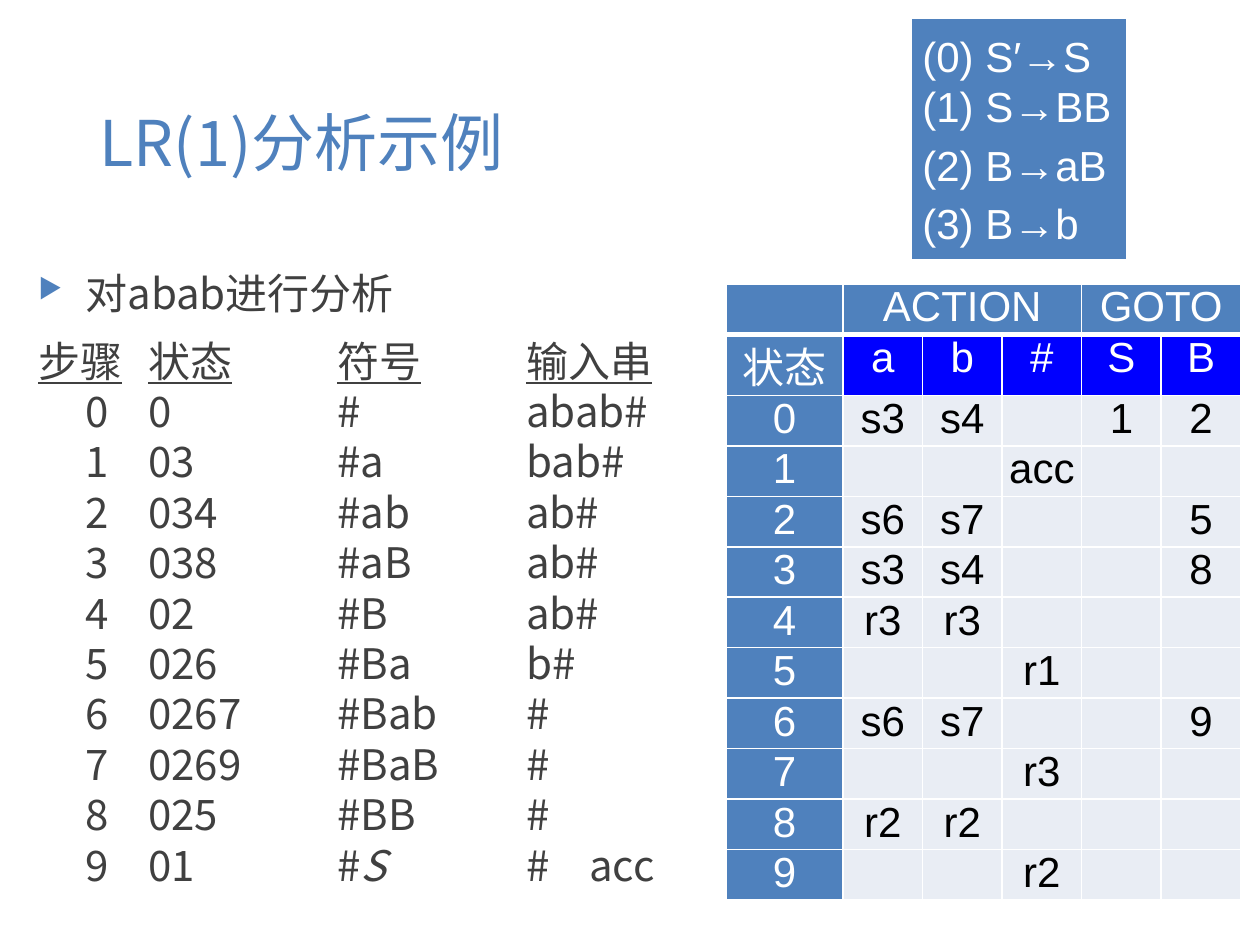
"""Build a slide that traces an LR(1) parse beside its grammar and parsing table."""
from dataclasses import dataclass
from typing import NamedTuple

from lxml import etree
from pptx import Presentation
from pptx.dml.color import RGBColor
from pptx.enum.shapes import MSO_SHAPE
from pptx.enum.text import MSO_ANCHOR, MSO_AUTO_SIZE, PP_ALIGN
from pptx.oxml.ns import qn
from pptx.util import Emu, Pt

RECTANGLE = MSO_SHAPE.RECTANGLE
TOP, MIDDLE = MSO_ANCHOR.TOP, MSO_ANCHOR.MIDDLE
LEFT, CENTER = PP_ALIGN.LEFT, PP_ALIGN.CENTER
NO_FIT = MSO_AUTO_SIZE.NONE
EMU_PER_PX = 914400 / 126


@dataclass(frozen=True)
class Theme:
    accent: str = "4F81BD"
    symbol: str = "0000FF"
    body_fill: str = "E9EDF4"
    white: str = "FFFFFF"
    black: str = "000000"
    text: str = "404040"
    sans: str = "Arial"
    cjk: str = "Noto Sans CJK SC"
    title_size: int = 36
    size: int = 24
    empty_size: int = 12


class Box(NamedTuple):
    x: int
    y: int
    w: int
    h: int


class Step(NamedTuple):
    number: int
    states: str
    symbols: str
    rest: str


class TableRow(NamedTuple):
    state: str
    entries: tuple[str, ...]


THEME = Theme()
TITLE_BOX = Box(87, 50, 1087, 183)
TRACE_BOX = Box(26, 261, 1087, 600)
GRAMMAR_BOX = Box(910, 17, 218, 244)
TABLE_BOX = Box(726, 284, 515, 578)
STATE_WIDTH, ENTRIES_WIDTH = 117, 398
ROW_HEIGHT, SYMBOL_ROW_HEIGHT = 47, 61
INDENT, TAB = 47, 63
CELL_INSET = 1

GRAMMAR = ("(0) S′→S", "(1) S→BB", "(2) B→aB", "(3) B→b")
STEPS = [Step(i, *values) for i, values in enumerate((
    ("0", "#", "abab#"),
    ("03", "#a", "bab#"),
    ("034", "#ab", "ab#"),
    ("038", "#aB", "ab#"),
    ("02", "#B", "ab#"),
    ("026", "#Ba", "b#"),
    ("0267", "#Bab", "#"),
    ("0269", "#BaB", "#"),
    ("025", "#BB", "#"),
    ("01", "#S", "#\tacc"),
))]
SYMBOLS = TableRow("状态", ("a", "b", "#", "S", "B"))
STATES = [TableRow(str(i), entries) for i, entries in enumerate((
    ("s3", "s4", "", "1", "2"),
    ("", "", "acc", "", ""),
    ("s6", "s7", "", "", "5"),
    ("s3", "s4", "", "", "8"),
    ("r3", "r3", "", "", ""),
    ("", "", "r1", "", ""),
    ("s6", "s7", "", "", "9"),
    ("", "", "r3", "", ""),
    ("r2", "r2", "", "", ""),
    ("", "", "r2", "", ""),
))]


def px(n: int) -> Emu:
    """Turn pixels into EMU."""
    return Emu(round(n * EMU_PER_PX))


def rgb(color: str) -> RGBColor:
    """Turn a hex string into a colour."""
    return RGBColor.from_string(color)


def place(box: Box) -> tuple[Emu, ...]:
    """Return a box's four lengths in EMU."""
    return tuple(px(n) for n in box)


def add_text(p, text: str, *, font: str = THEME.sans, size: int = THEME.size,
             color: str = THEME.white, align=LEFT, underline: bool = False,
             italic: bool = False) -> None:
    """Append a formatted run to a paragraph."""
    p.alignment = align
    r = p.add_run()
    r.text = text
    r.font.name, r.font.size = font, Pt(size)
    r.font.color.rgb = rgb(color)
    r.font.bold, r.font.italic, r.font.underline = False, italic, underline
    etree.SubElement(r._r.get_or_add_rPr(), qn("a:ea"), typeface=THEME.cjk)


def next_paragraph(tf):
    """Return the empty first paragraph or a new one."""
    first = tf.paragraphs[0]
    return tf.add_paragraph() if first.runs else first


def add_title(s, text: str) -> None:
    """Move, fill and format the title placeholder."""
    title = s.shapes.title
    title.left, title.top, title.width, title.height = place(TITLE_BOX)
    tf = title.text_frame
    tf.auto_size, tf.word_wrap, tf.vertical_anchor = NO_FIT, True, MIDDLE
    add_text(tf.paragraphs[0], text, font=THEME.cjk, size=THEME.title_size, color=THEME.accent)


def add_trace_line(tf, text: str, *, before: int = 0, underline: bool = False):
    """Add a hanging-indent line to the trace and return its paragraph."""
    p = next_paragraph(tf)
    p.space_before = Pt(before)
    pPr = p._p.get_or_add_pPr()
    pPr.set("marL", str(px(INDENT)))
    pPr.set("indent", str(-px(INDENT)))
    pPr.set("defTabSz", str(px(TAB)))
    add_text(p, text, font=THEME.cjk, color=THEME.text, underline=underline)
    return p


def add_bullet(p) -> None:
    """Give a paragraph the accent triangle bullet."""
    pPr = p._p.get_or_add_pPr()
    color = etree.SubElement(pPr, qn("a:buClr"))
    etree.SubElement(color, qn("a:srgbClr"), val=THEME.accent)
    etree.SubElement(pPr, qn("a:buSzPct"), val="65000")
    etree.SubElement(pPr, qn("a:buChar"), char="▶")


def column_gap(text: str) -> str:
    """Return the tabs that lead from a trace entry to the next column."""
    return "\t" * (3 - len(text) // 3)


def add_trace(s) -> None:
    """Draw the step-by-step parse."""
    tf = s.shapes.add_textbox(*place(TRACE_BOX)).text_frame
    tf.word_wrap, tf.vertical_anchor = True, TOP
    add_bullet(add_trace_line(tf, "对abab进行分析", before=10))
    add_trace_line(tf, "步骤\t状态\t\t符号\t\t输入串", before=10, underline=True)
    for step in STEPS:
        stack, start, _ = step.symbols.partition("S")
        p = add_trace_line(tf, f"\t{step.number}\t{step.states}{column_gap(step.states)}{stack}")
        if start:
            add_text(p, start, font=THEME.cjk, color=THEME.text, italic=True)
        add_text(p, column_gap(step.symbols) + step.rest, font=THEME.cjk, color=THEME.text)


def add_grammar(s) -> None:
    """Draw the panel of numbered productions."""
    sp = s.shapes.add_shape(RECTANGLE, *place(GRAMMAR_BOX))
    sp.shadow.inherit = False
    sp.fill.solid()
    sp.fill.fore_color.rgb = rgb(THEME.accent)
    sp.line.color.rgb, sp.line.width = rgb(THEME.white), Pt(2)
    tf = sp.text_frame
    tf.word_wrap, tf.vertical_anchor = True, MIDDLE
    for i, production in enumerate(GRAMMAR):
        p = next_paragraph(tf)
        p.space_before = Pt(4.5 if i > 1 else 0)
        add_text(p, production)


def set_cell(cell, text: str, *, fill: str, color: str = THEME.white,
             top: int = 1, bottom: int = 1) -> None:
    """Fill, border and label one table cell."""
    cell.margin_left = cell.margin_right = px(CELL_INSET)
    cell.margin_top = cell.margin_bottom = 0
    cell.vertical_anchor = TOP
    cell.fill.solid()
    cell.fill.fore_color.rgb = rgb(fill)
    tcPr = cell._tc.get_or_add_tcPr()
    for i, (side, width) in enumerate((("L", 1), ("R", 1), ("T", top), ("B", bottom))):
        ln = etree.Element(qn(f"a:ln{side}"), w=str(Pt(width)))
        solid = etree.SubElement(ln, qn("a:solidFill"))
        etree.SubElement(solid, qn("a:srgbClr"), val=THEME.white)
        tcPr.insert(i, ln)
    p = cell.text_frame.paragraphs[0]
    if text:
        add_text(p, text, color=color, align=CENTER)
    else:
        end = etree.SubElement(p._p, qn("a:endParaRPr"), sz=str(THEME.empty_size * 100))
        etree.SubElement(end, qn("a:latin"), typeface=THEME.sans)


def add_parsing_table(s) -> None:
    """Draw the ACTION and GOTO table."""
    entries = len(SYMBOLS.entries)
    table = s.shapes.add_table(len(STATES) + 2, entries + 1, *place(TABLE_BOX)).table
    table.first_row = table.horz_banding = False
    for i, column in enumerate(table.columns):
        column.width = px(ENTRIES_WIDTH / entries if i else STATE_WIDTH)
    for i, row in enumerate(table.rows):
        row.height = px(SYMBOL_ROW_HEIGHT if i == 1 else ROW_HEIGHT)
    for c, text in enumerate(("", "ACTION", "", "", "GOTO", "")):
        set_cell(table.cell(0, c), text, fill=THEME.accent, bottom=3)
    table.cell(0, 1).merge(table.cell(0, 3))
    table.cell(0, 4).merge(table.cell(0, 5))
    for r, row in enumerate((SYMBOLS, *STATES), start=1):
        heading = r == 1
        top = 3 if heading else 1
        fill, color = (THEME.symbol, THEME.white) if heading else (THEME.body_fill, THEME.black)
        set_cell(table.cell(r, 0), row.state, fill=THEME.accent, top=top)
        for c, entry in enumerate(row.entries, start=1):
            set_cell(table.cell(r, c), entry, fill=fill, color=color, top=top)


def main() -> None:
    """Build and save the slide."""
    prs = Presentation()
    prs.slide_width, prs.slide_height = px(1260), px(945)
    s = prs.slides.add_slide(prs.slide_layouts[5])
    add_title(s, "LR(1)分析示例")
    add_trace(s)
    add_grammar(s)
    add_parsing_table(s)
    prs.save("out.pptx")


if __name__ == "__main__":
    main()
